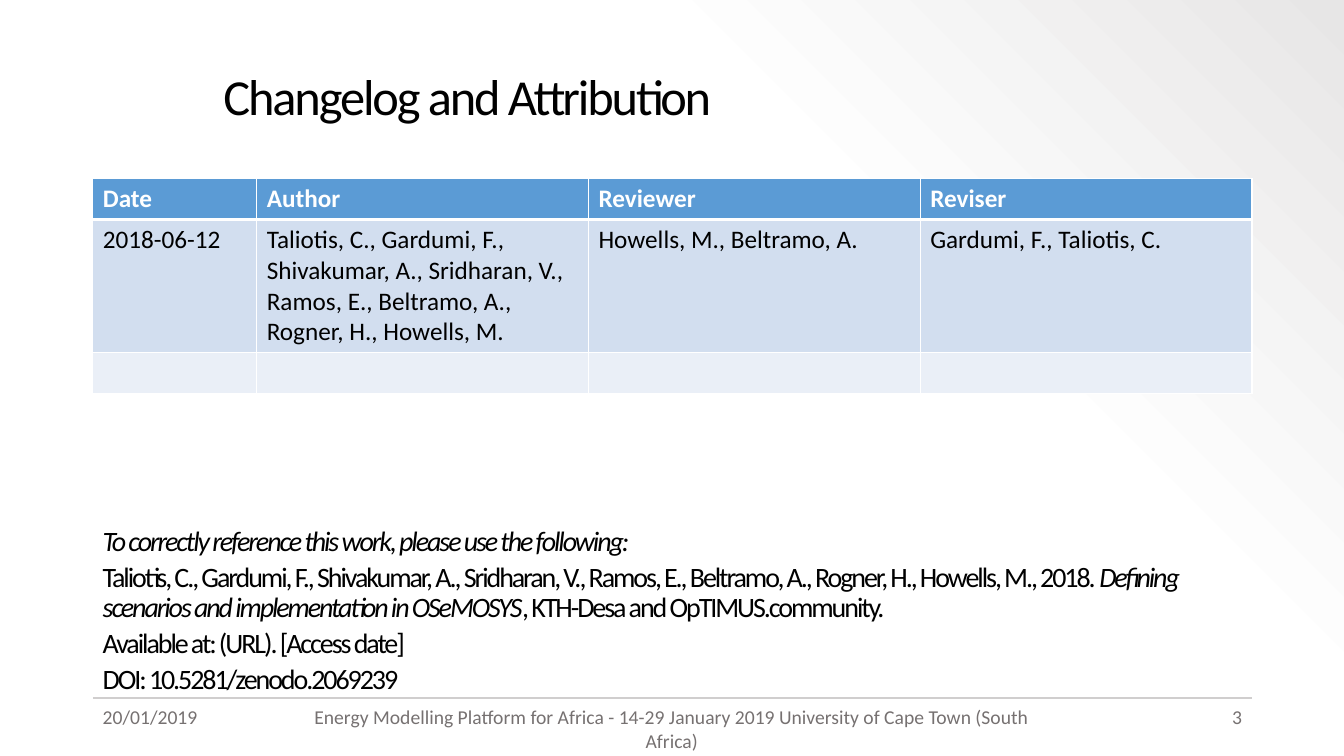
from copy import deepcopy
from dataclasses import dataclass

from lxml.etree import SubElement
from pptx import Presentation
from pptx.dml.color import RGBColor
from pptx.enum.shapes import MSO_CONNECTOR as Connector
from pptx.enum.text import MSO_ANCHOR as Anchor, PP_ALIGN as Align
from pptx.oxml.ns import qn
from pptx.util import Cm, Pt

FONT = "Calibri"
BLACK, WHITE, GREY = "000000", "FFFFFF", "767171"
LEFT, WIDTH = 2.34, 29.21


@dataclass
class Span:
    text: str
    italic: bool = False


@dataclass
class TextBlock:
    left: float
    top: float
    width: float
    height: float
    paragraphs: list[list[Span]]
    size: int
    color: str = BLACK
    align: Align = Align.LEFT
    anchor: Anchor = Anchor.TOP
    line_spacing: float = 1.0
    space_before: int = 0
    tracking: float = 0


@dataclass
class TableRow:
    height: float
    fill: str
    texts: list[str]
    color: str = BLACK
    bold: bool = False
    bottom_border: int = 1


def rgb(color: str) -> RGBColor:
    return RGBColor.from_string(color)


def set_font(font, size: int, color: str, bold: bool = False) -> None:
    font.name, font.size, font.bold = FONT, Pt(size), bold
    font.color.rgb = rgb(color)


def paint_background(page) -> None:
    fill = page.background.fill
    fill.gradient()
    fill.gradient_angle = 45
    stop_list = page._element.find(".//" + qn("a:gsLst"))
    stop_list.insert(1, deepcopy(stop_list[0]))
    colors = [(0, WHITE), (0.69, "FDFDFD"), (1, "E7E6E6")]
    for stop, (position, color) in zip(fill.gradient_stops, colors):
        stop.position = position
        stop.color.rgb = rgb(color)


def add_text(page, block: TextBlock) -> None:
    box = page.shapes.add_textbox(
        Cm(block.left), Cm(block.top), Cm(block.width), Cm(block.height))
    frame = box.text_frame
    frame.word_wrap = True
    frame.vertical_anchor = block.anchor
    for index, spans in enumerate(block.paragraphs):
        para = frame.add_paragraph() if index else frame.paragraphs[0]
        para.alignment = block.align
        para.line_spacing = block.line_spacing
        if index:
            para.space_before = Pt(block.space_before)
        set_font(para.font, block.size, block.color)
        for span in spans:
            run = para.add_run()
            run.text = span.text
            run.font.italic = span.italic
            if block.tracking:
                run.font._element.set("spc", str(int(block.tracking * 100)))


def set_borders(cell, bottom: int) -> None:
    properties = cell._tc.get_or_add_tcPr()
    for side, width in (("L", 1), ("R", 1), ("T", 1), ("B", bottom)):
        line = SubElement(properties, qn(f"a:ln{side}"), w=str(Pt(width)))
        SubElement(SubElement(line, qn("a:solidFill")), qn("a:srgbClr"), val=WHITE)


def add_changelog(page, column_widths: list[float], rows: list[TableRow]) -> None:
    height = sum(row.height for row in rows)
    table = page.shapes.add_table(
        len(rows), len(column_widths), Cm(LEFT), Cm(4.5), Cm(WIDTH), Cm(height)).table
    for column, width in zip(table.columns, column_widths):
        column.width = Cm(width)
    for table_row, row in zip(table.rows, rows):
        table_row.height = Cm(row.height)
        for cell, text in zip(table_row.cells, row.texts):
            set_borders(cell, row.bottom_border)
            cell.fill.solid()
            cell.fill.fore_color.rgb = rgb(row.fill)
            cell.text = text
            set_font(cell.text_frame.paragraphs[0].font, 18, row.color, row.bold)


def add_footer_rule(page) -> None:
    rule = page.shapes.add_connector(
        Connector.STRAIGHT, Cm(LEFT), Cm(17.58), Cm(LEFT + WIDTH), Cm(17.58))
    rule.line.color.rgb = rgb("D0CECE")
    rule.line.width = Pt(1.5)
    SubElement(rule._element.spPr, qn("a:effectLst"))


CHANGELOG = [
    TableRow(1.03, "5B9BD5", ["Date", "Author", "Reviewer", "Reviser"],
             WHITE, bold=True, bottom_border=3),
    TableRow(3.33, "D2DEEF", [
        "2018-06-12",
        "Taliotis, C., Gardumi, F., Shivakumar, A., Sridharan, V., "
        "Ramos, E., Beltramo, A., Rogner, H., Howells, M.",
        "Howells, M., Beltramo, A.",
        "Gardumi, F., Taliotis, C."]),
    TableRow(1.03, "EAEFF7", [""] * 4),
]

REFERENCE = [
    [Span("To correctly reference this work, please use the following:", True)],
    [Span("Taliotis, C., Gardumi, F., Shivakumar, A., Sridharan, V., Ramos, E., "
          "Beltramo, A., Rogner, H., Howells, M., 2018. "),
     Span("Defining scenarios and implementation in OSeMOSYS", True),
     Span(", KTH-Desa and OpTIMUS.community.")],
    [Span("Available at: (URL). [Access date]")],
    [Span("DOI: 10.5281/zenodo.2069239")],
]

FOOTER_TOP, FOOTER_HEIGHT = 17.65, 1.02
TEXT_BLOCKS = [
    TextBlock(LEFT, 12.75, WIDTH, 4.9, REFERENCE, 20, anchor=Anchor.BOTTOM,
              line_spacing=0.9, space_before=4, tracking=-1.5),
    TextBlock(5.38, 0.94, 26.16, 3.1, [[Span("Changelog and Attribution")]], 36,
              anchor=Anchor.MIDDLE, line_spacing=0.9, tracking=-1.5),
    TextBlock(23.93, FOOTER_TOP, 7.62, FOOTER_HEIGHT, [[Span("3")]], 14, GREY,
              Align.RIGHT),
    TextBlock(LEFT, FOOTER_TOP, 3.3, FOOTER_HEIGHT, [[Span("20/01/2019")]], 14, GREY),
    TextBlock(7.01, FOOTER_TOP, 19.84, FOOTER_HEIGHT,
              [[Span("Energy Modelling Platform for Africa - 14-29 January 2019 "
                     "University of Cape Town (South Africa)")]],
              14, GREY, Align.CENTER),
]


def main() -> None:
    deck = Presentation()
    deck.slide_width, deck.slide_height = Cm(33.87), Cm(19.05)
    page = deck.slides.add_slide(deck.slide_layouts[6])
    paint_background(page)
    add_footer_rule(page)
    add_changelog(page, [4.13, 8.36, 8.36, 8.36], CHANGELOG)
    for block in TEXT_BLOCKS:
        add_text(page, block)
    deck.save("out.pptx")


if __name__ == "__main__":
    main()
